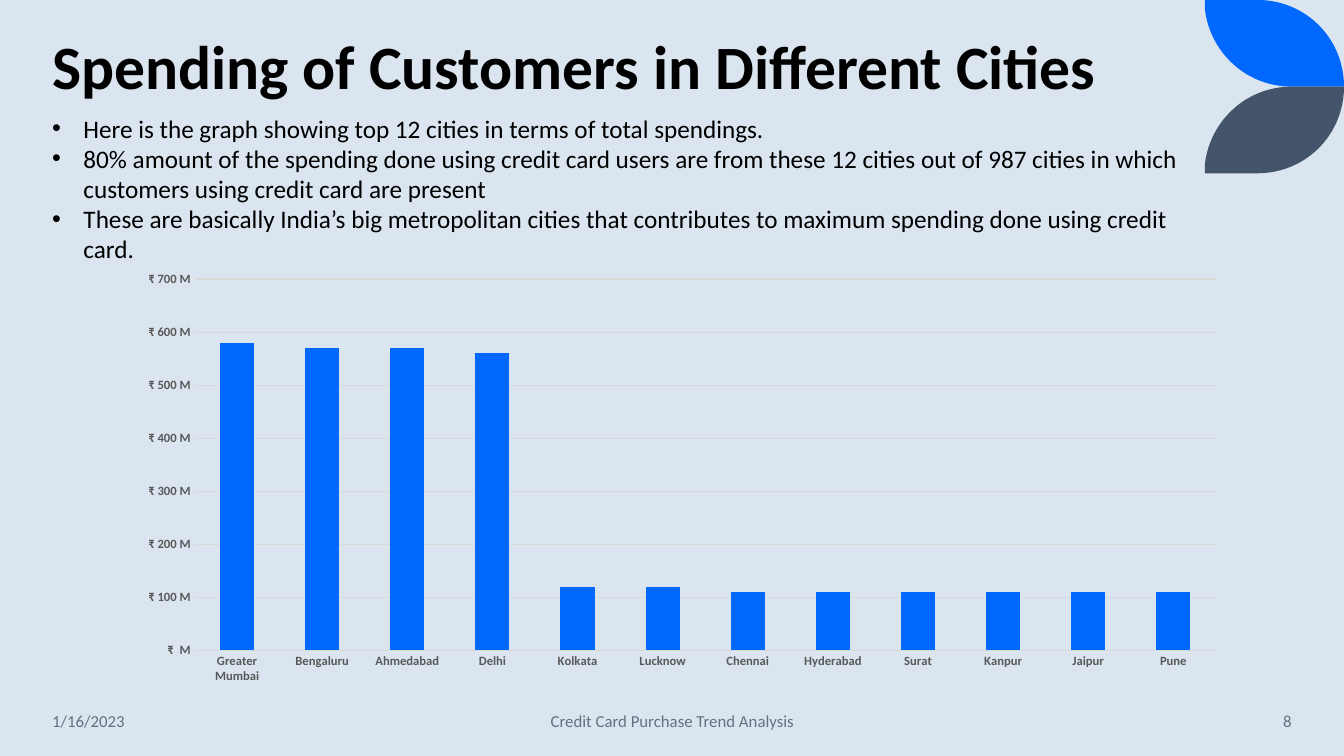
"""Build the slide on credit card spending by city."""
from dataclasses import dataclass

from lxml import etree
from pptx import Presentation
from pptx import util as u
from pptx.chart.data import CategoryChartData
from pptx.dml.color import RGBColor
from pptx.enum import chart as charts
from pptx.enum import text
from pptx.oxml.ns import qn
from pptx.slide import Slide

BACKGROUND = RGBColor(0xDA, 0xE5, 0xEF)
BLUE = RGBColor(0x00, 0x68, 0xFF)
SLATE = RGBColor(0x44, 0x54, 0x6A)
BLACK = RGBColor(0x00, 0x00, 0x00)
FOOTER_GREY = RGBColor(0x63, 0x71, 0x83)
LABEL_GREY = RGBColor(0x59, 0x59, 0x59)
GRID_GREY = RGBColor(0xD9, 0xD9, 0xD9)
FONT = "Calibri"
LEFT, MIDDLE, RIGHT = text.PP_ALIGN.LEFT, text.PP_ALIGN.CENTER, text.PP_ALIGN.RIGHT
CURVE_STEPS = 24

Point = tuple[float, float]


@dataclass
class TextBlock:
    lines: list[str]
    left: float
    top: float
    width: float
    height: float
    size: float
    color: RGBColor = BLACK
    bold: bool = False
    align: text.PP_ALIGN = LEFT
    anchor: text.MSO_ANCHOR = text.MSO_ANCHOR.MIDDLE
    spacing: float = 1.0
    bullets: bool = False


@dataclass
class Leaf:
    tip: float
    direction: int
    color: RGBColor


def footer(line: str, left: float, width: float, align: text.PP_ALIGN) -> TextBlock:
    """Describe one footer entry."""
    return TextBlock([line], left, 6.95, width, 0.4, 12, FOOTER_GREY, align=align)


TEXT_BLOCKS = [
    TextBlock(["Spending of Customers in Different Cities"], 0.42, 0.15, 12.27, 0.92, 44,
              bold=True, anchor=text.MSO_ANCHOR.BOTTOM, spacing=0.9),
    TextBlock([
        "Here is the graph showing top 12 cities in terms of total spendings.",
        "80% amount of the spending done using credit card users are from these 12 cities "
        "out of 987 cities in which customers using credit card are present",
        "These are basically India’s big metropolitan cities that contributes to maximum "
        "spending done using credit card.",
    ], 0.42, 1.07, 11.7, 1.62, 18, anchor=text.MSO_ANCHOR.TOP, bullets=True),
    footer("1/16/2023", 0.42, 1.86, LEFT),
    footer("Credit Card Purchase Trend Analysis", 4.42, 4.5, MIDDLE),
    footer("8", 11.1, 1.81, RIGHT),
]
LEAVES = [Leaf(0, 1, BLUE), Leaf(1.72, -1, SLATE)]
MILLION = 1_000_000
SPENDING_MILLIONS = {
    "Greater Mumbai": 580, "Bengaluru": 570, "Ahmedabad": 570, "Delhi": 560,
    "Kolkata": 120, "Lucknow": 120, "Chennai": 110, "Hyderabad": 110,
    "Surat": 110, "Kanpur": 110, "Jaipur": 110, "Pune": 110,
}


def curve(a: Point, b: Point, c: Point, d: Point) -> list[Point]:
    """Sample a cubic curve from a to d."""
    points = []
    for step in range(CURVE_STEPS + 1):
        t = step / CURVE_STEPS
        weights = ((1 - t) ** 3, 3 * t * (1 - t) ** 2, 3 * t ** 2 * (1 - t), t ** 3)
        x, y = (sum(w * p[axis] for w, p in zip(weights, (a, b, c, d))) for axis in (0, 1))
        points.append((x, y))
    return points


def add_leaf(page: Slide, leaf: Leaf) -> None:
    """Draw one leaf of the corner ornament."""
    outline = [(11.95, 0)]
    outline += curve((12.47, 0), (12.95, 0), (13.33, 0.38), (13.33, 0.86))
    outline += curve((12.81, 0.86), (12.36, 0.86), (12, 0.52), (11.95, 0.09))
    points = [(u.Inches(x), u.Inches(leaf.tip + leaf.direction * y)) for x, y in outline]
    builder = page.shapes.build_freeform(*points[0])
    builder.add_line_segments(points[1:], close=True)
    shape = builder.convert_to_shape()
    shape.shadow.inherit = False
    shape.fill.solid()
    shape.fill.fore_color.rgb = leaf.color
    shape.line.fill.background()


def add_text(page: Slide, block: TextBlock) -> None:
    """Place one block of text."""
    box = page.shapes.add_textbox(*map(u.Inches, (block.left, block.top, block.width, block.height)))
    frame = box.text_frame
    frame.word_wrap = True
    frame.vertical_anchor = block.anchor
    frame.text = "\n".join(block.lines)
    if block.bullets:
        frame.auto_size = text.MSO_AUTO_SIZE.SHAPE_TO_FIT_TEXT
    for para in frame.paragraphs:
        para.alignment = block.align
        para.line_spacing = block.spacing
        if block.bullets:
            properties = para._p.get_or_add_pPr()
            properties.set("marL", str(u.Inches(0.31)))
            properties.set("indent", str(u.Inches(-0.31)))
            etree.SubElement(properties, qn("a:buFont"), typeface="Arial")
            etree.SubElement(properties, qn("a:buChar"), char="•")
        para.font.name = FONT
        para.font.size = u.Pt(block.size)
        para.font.bold = block.bold
        para.font.color.rgb = block.color


def add_spending_chart(page: Slide) -> None:
    """Draw the column chart of spending by city."""
    data = CategoryChartData()
    data.categories = list(SPENDING_MILLIONS)
    data.add_series("Series 1", [value * MILLION for value in SPENDING_MILLIONS.values()])
    chart = page.shapes.add_chart(
        charts.XL_CHART_TYPE.COLUMN_CLUSTERED,
        *map(u.Inches, (1.25, 2.61, 11.03, 4.26)), data).chart
    chart.has_legend = False
    chart.has_title = False
    chart.font.name = FONT
    chart.font.size = u.Pt(10)
    chart.font.color.rgb = BLACK

    plot = chart.plots[0]
    plot.gap_width = 150
    plot.vary_by_categories = False
    columns = plot.series[0].format.fill
    columns.solid()
    columns.fore_color.rgb = BLUE

    for axis in (chart.category_axis, chart.value_axis):
        axis.major_tick_mark = axis.minor_tick_mark = charts.XL_TICK_MARK.NONE
        axis.format.line.fill.background()
        font = axis.tick_labels.font
        font.name = FONT
        font.size = u.Pt(9)
        font.bold = True
        font.color.rgb = LABEL_GREY

    amounts = chart.value_axis
    amounts.minimum_scale = 0
    amounts.maximum_scale = 700 * MILLION
    amounts.major_unit = 100 * MILLION
    amounts.tick_labels.number_format = '"₹"\\ #,,\\ "M"'
    amounts.tick_labels.number_format_is_linked = False
    grid = amounts.major_gridlines.format.line
    grid.width = u.Pt(0.75)
    grid.color.rgb = GRID_GREY


def main() -> None:
    """Assemble and save the deck."""
    deck = Presentation()
    deck.slide_width, deck.slide_height = u.Inches(13.33), u.Inches(7.5)
    page = deck.slides.add_slide(deck.slide_layouts[6])
    page.background.fill.solid()
    page.background.fill.fore_color.rgb = BACKGROUND
    for leaf in LEAVES:
        add_leaf(page, leaf)
    for block in TEXT_BLOCKS:
        add_text(page, block)
    add_spending_chart(page)
    deck.save("out.pptx")


if __name__ == "__main__":
    main()
